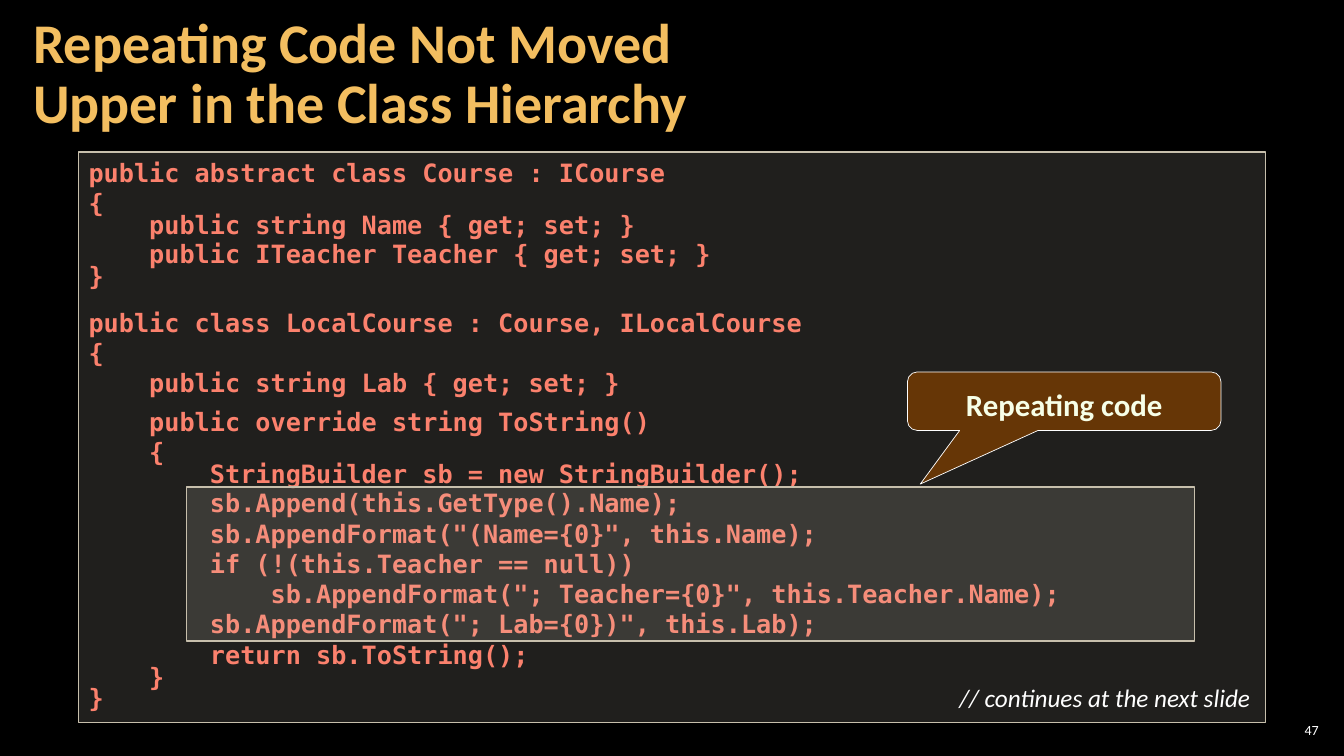
from lxml import etree
from pptx import Presentation
from pptx.dml.color import RGBColor
from pptx.enum.shapes import MSO_SHAPE as Shape
from pptx.enum.text import MSO_ANCHOR as Anchor, MSO_AUTO_SIZE as AutoSize, PP_ALIGN as Align
from pptx.oxml.ns import qn
from pptx.util import Inches, Pt

BLACK = RGBColor(0x00, 0x00, 0x00)
WHITE = RGBColor(0xFF, 0xFF, 0xFF)
GOLD = RGBColor(0xF3, 0xBE, 0x60)
CORAL = RGBColor(0xFB, 0x81, 0x6D)
SAND = RGBColor(0xD9, 0xD5, 0xC7)
SAND_EDGE = RGBColor(0xC7, 0xBF, 0xAC)
BROWN = RGBColor(0x66, 0x36, 0x06)
CREAM = RGBColor(0xF7, 0xFF, 0xE7)

BODY_FONT = "Calibri"
CODE_FONT = "DejaVu Sans Mono"

CODE = """public abstract class Course : ICourse
{
    public string Name { get; set; }
    public ITeacher Teacher { get; set; }
}
public class LocalCourse : Course, ILocalCourse
{
    public string Lab { get; set; }
    public override string ToString()
    {
        StringBuilder sb = new StringBuilder();
        sb.Append(this.GetType().Name);
        sb.AppendFormat("(Name={0}", this.Name);
        if (!(this.Teacher == null))
            sb.AppendFormat("; Teacher={0}", this.Teacher.Name);
        sb.AppendFormat("; Lab={0})", this.Lab);
        return sb.ToString();
    }
}"""
TIGHT_LINES = {2, 4, 10, 17, 18}
SPACE_BEFORE = {5: Pt(12), 8: Pt(6)}


def style(paragraph, size, color, font=BODY_FONT, bold=False, italic=False, align=Align.LEFT):
    paragraph.alignment = align
    paragraph.font.name = font
    paragraph.font.size = Pt(size)
    paragraph.font.bold = bold
    paragraph.font.italic = italic
    paragraph.font.color.rgb = color


def set_margins(frame, horizontal, vertical):
    frame.margin_left = frame.margin_right = Inches(horizontal)
    frame.margin_top = frame.margin_bottom = Inches(vertical)


def add_title(slide, text):
    title = slide.shapes.title
    title.left, title.top, title.width, title.height = map(Inches, (0.21, 0.04, 10.47, 1.42))
    frame = title.text_frame
    frame.text = text
    frame.auto_size = AutoSize.NONE
    frame.vertical_anchor = Anchor.MIDDLE
    set_margins(frame, 0.12, 0.04)
    paragraph = frame.paragraphs[0]
    paragraph.line_spacing = 0.9
    style(paragraph, 40, GOLD, bold=True)


def add_panel(slide, kind, box, fill, edge, edge_width, opacity=100):
    shape = slide.shapes.add_shape(kind, *map(Inches, box))
    shape.shadow.inherit = False
    shape.fill.solid()
    shape.fill.fore_color.rgb = fill
    if opacity < 100:
        color = shape.fill._xPr.find(qn("a:solidFill"))[0]
        etree.SubElement(color, qn("a:alpha"), val=str(opacity * 1000))
    shape.line.color.rgb = edge
    shape.line.width = Pt(edge_width)
    return shape


def add_code(slide, box, code):
    panel = add_panel(slide, Shape.RECTANGLE, box, SAND, SAND_EDGE, 1, opacity=15)
    frame = panel.text_frame
    frame.word_wrap = True
    frame.vertical_anchor = Anchor.TOP
    frame.text = code
    for index, paragraph in enumerate(frame.paragraphs):
        if index in TIGHT_LINES:
            paragraph.line_spacing = 0.7
        if index in SPACE_BEFORE:
            paragraph.space_before = SPACE_BEFORE[index]
        style(paragraph, 18, CORAL, CODE_FONT, bold=True)


def add_callout(slide, box, text):
    callout = add_panel(slide, Shape.ROUNDED_RECTANGULAR_CALLOUT, box, BROWN, WHITE, 0.5)
    for index, value in enumerate((-0.459, 1.418, 0.167)):
        callout.adjustments[index] = value
    frame = callout.text_frame
    frame.word_wrap = True
    frame.vertical_anchor = Anchor.MIDDLE
    frame.text = text
    paragraph = frame.paragraphs[0]
    paragraph.line_spacing = Pt(30)
    style(paragraph, 22, CREAM, bold=True, align=Align.CENTER)


def add_label(slide, box, text, size, italic=False):
    frame = slide.shapes.add_textbox(*map(Inches, box)).text_frame
    frame.text = text
    frame.word_wrap = False
    style(frame.paragraphs[0], size, WHITE, italic=italic, align=Align.RIGHT)
    return frame


def main():
    presentation = Presentation()
    presentation.slide_width = Inches(13.33)
    presentation.slide_height = Inches(7.5)
    slide = presentation.slides.add_slide(presentation.slide_layouts[5])
    slide.background.fill.solid()
    slide.background.fill.fore_color.rgb = BLACK

    # Slide number and title
    number = add_label(slide, (12.65, 7.14, 0.47, 0.21), "47", 10)
    number.vertical_anchor = Anchor.MIDDLE
    set_margins(number, 0.04, 0.04)
    add_title(slide, "Repeating Code Not Moved\vUpper in the Class Hierarchy")

    # Code listing
    add_code(slide, (0.78, 1.51, 11.77, 5.66), CODE)
    add_label(slide, (9.38, 6.72, 3.12, 0.4), "// continues at the next slide", 18, italic=True)

    # Highlight over the repeated lines
    add_panel(slide, Shape.RECTANGLE, (1.85, 4.83, 10, 1.53), SAND, SAND_EDGE, 1, opacity=15)
    add_callout(slide, (9, 3.69, 3.11, 0.58), "Repeating code")

    presentation.save("out.pptx")


if __name__ == "__main__":
    main()
